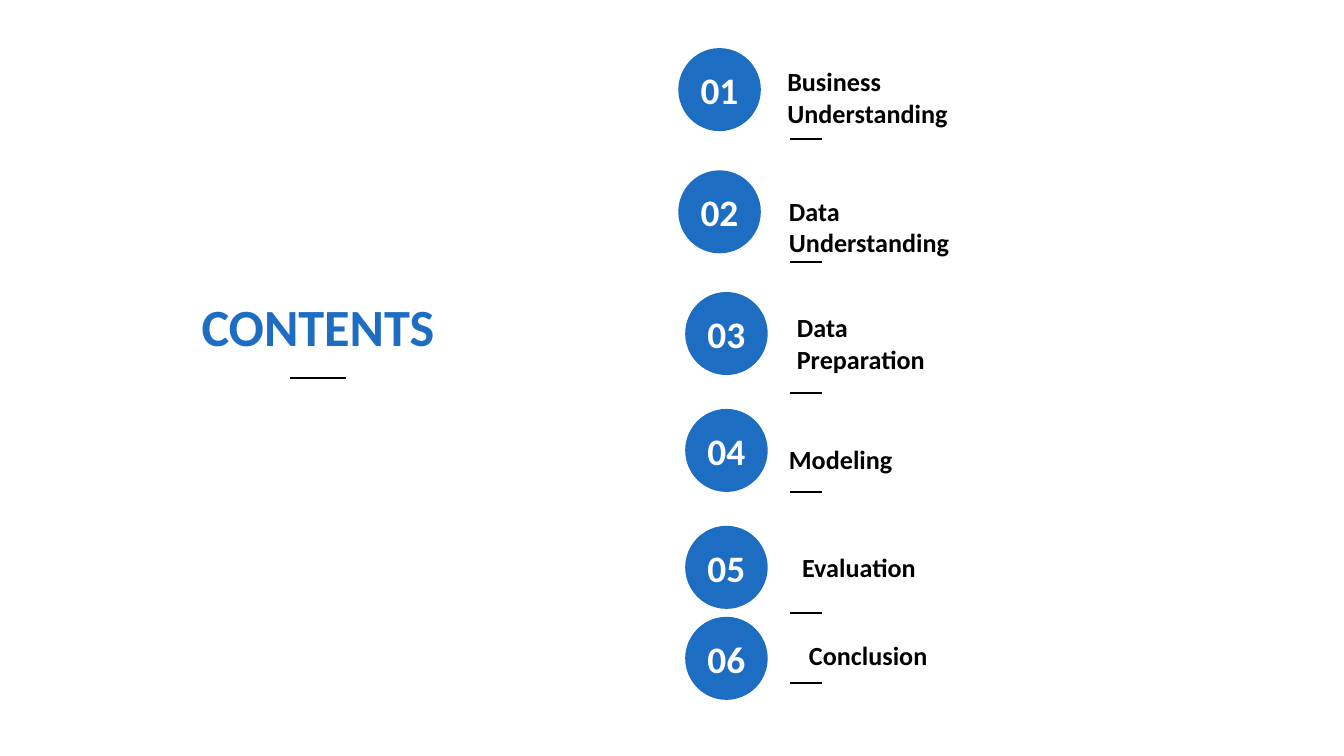
from typing import NamedTuple

from lxml import etree
from pptx import Presentation
from pptx.dml.color import RGBColor
from pptx.enum import shapes, text
from pptx.oxml.ns import qn
from pptx.util import Cm, Pt

BLUE = RGBColor(0x1D, 0x6D, 0xC2)
BLACK = RGBColor(0x00, 0x00, 0x00)
WHITE = RGBColor(0xFF, 0xFF, 0xFF)
FONT = "Calibri"

# Lengths in centimetres
CIRCLE_W, CIRCLE_H = 1.56, 1.57
LABEL_H = 0.86
RULE_LEFT, RULE_RIGHT = 14.93, 15.53


class Item(NamedTuple):
    label: str
    circle_left: float
    circle_top: float
    label_left: float
    label_top: float
    label_width: float
    rule_y: float


ITEMS = [
    Item("Business Understanding", 12.82, 0.91, 14.63, 1.12, 5.41, 2.63),
    Item("Data Understanding", 12.82, 3.22, 14.66, 3.56, 4.6, 4.95),
    Item("Data Preparation", 12.95, 5.52, 14.81, 5.77, 3.99, 7.43),
    Item("Modeling", 12.95, 7.73, 14.66, 8.26, 2.46, 9.3),
    Item("Evaluation", 12.95, 9.94, 14.91, 10.29, 2.7, 11.58),
    Item("Conclusion", 12.95, 11.66, 15.04, 11.96, 2.75, 12.91),
]


def write(sp, content: str, *, size: float, color: RGBColor,
          align=text.PP_ALIGN.LEFT, anchor=text.MSO_ANCHOR.TOP,
          wrap: bool = False) -> None:
    tf = sp.text_frame
    tf.auto_size = text.MSO_AUTO_SIZE.NONE
    tf.word_wrap = wrap
    tf.vertical_anchor = anchor
    p = tf.paragraphs[0]
    p.alignment = align
    r = p.add_run()
    r.text = content
    r.font.name = FONT
    r.font.size = Pt(size)
    r.font.bold = True
    r.font.color.rgb = color


def add_rule(s, left: float, right: float, y: float) -> None:
    line = s.shapes.add_connector(
        shapes.MSO_CONNECTOR.STRAIGHT, Cm(left), Cm(y), Cm(right), Cm(y))
    line.line.color.rgb = BLACK
    line.line.width = Pt(1)
    etree.SubElement(line._element.spPr, qn("a:effectLst"))


def add_circle(s, left: float, top: float, number: int) -> None:
    sp = s.shapes.add_shape(shapes.MSO_SHAPE.OVAL, Cm(left), Cm(top),
                            Cm(CIRCLE_W), Cm(CIRCLE_H))
    sp.shadow.inherit = False
    sp.fill.solid()
    sp.fill.fore_color.rgb = BLUE
    sp.line.fill.background()
    write(sp, f"{number:02}", size=20, color=WHITE,
          align=text.PP_ALIGN.CENTER, anchor=text.MSO_ANCHOR.MIDDLE)


def add_item(s, number: int, item: Item) -> None:
    two_lines = " " in item.label
    sp = s.shapes.add_textbox(Cm(item.label_left), Cm(item.label_top),
                              Cm(item.label_width), Cm(LABEL_H))
    write(sp, item.label, size=14, color=BLACK, wrap=two_lines)
    if two_lines:
        # A wider right margin puts the second word on its own line
        sp.text_frame.margin_right = Cm(0.75)
    add_rule(s, RULE_LEFT, RULE_RIGHT, item.rule_y)
    add_circle(s, item.circle_left, item.circle_top, number)


def main() -> None:
    prs = Presentation()
    prs.slide_width, prs.slide_height = Cm(25.4), Cm(14.29)
    s = prs.slides.add_slide(prs.slide_layouts.get_by_name("Title Only"))

    # Heading, with no side margins so that it stays on one line
    title = s.shapes.title
    title.left, title.top = Cm(3.56), Cm(5.44)
    title.width, title.height = Cm(4.9), Cm(1.45)
    write(title, "CONTENTS", size=28, color=BLUE, align=text.PP_ALIGN.CENTER)
    title.text_frame.margin_left = title.text_frame.margin_right = 0
    add_rule(s, 5.49, 6.53, 7.14)

    # Numbered contents
    for number, item in enumerate(ITEMS, start=1):
        add_item(s, number, item)

    prs.save("out.pptx")


if __name__ == "__main__":
    main()
